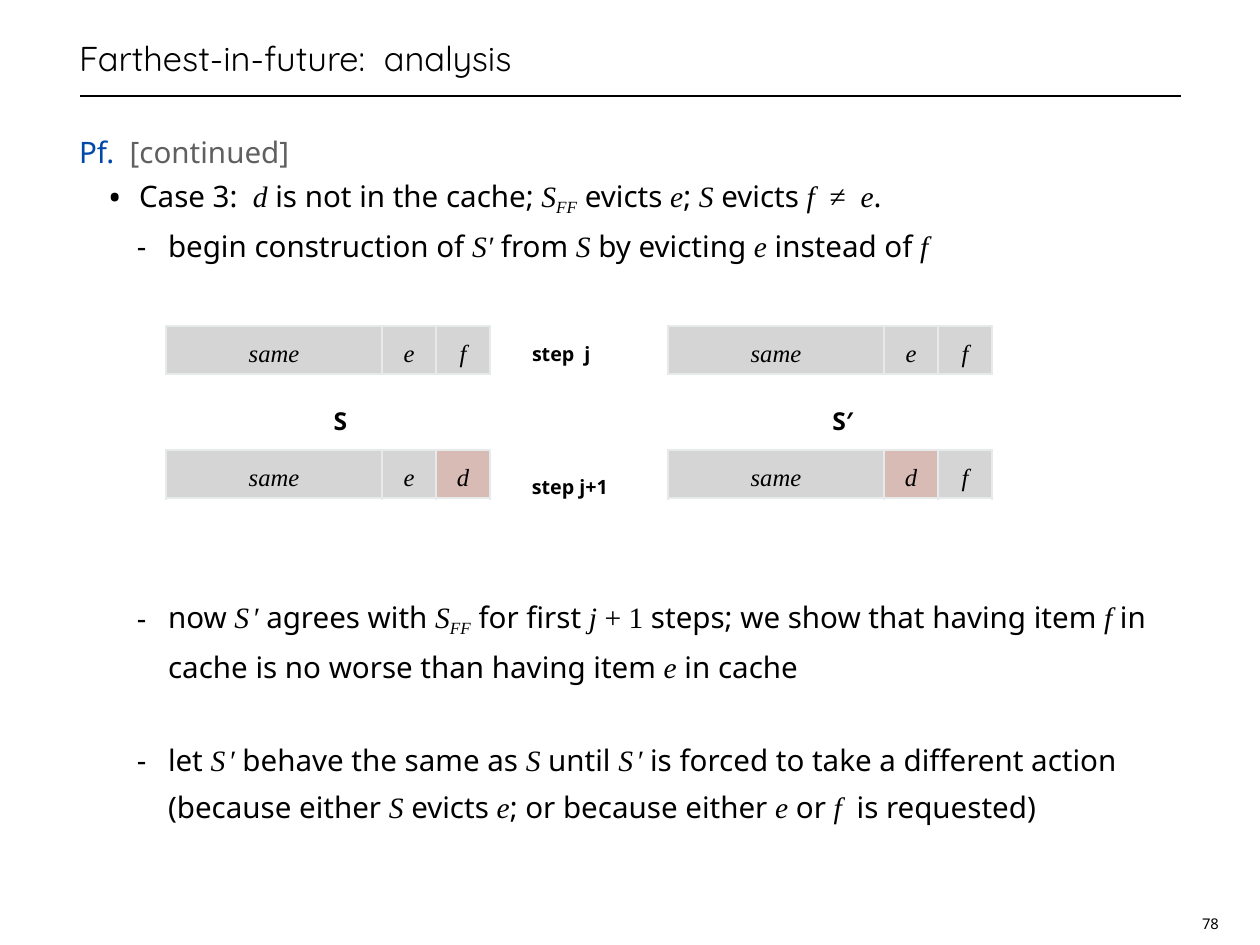
from lxml.etree import SubElement
from pptx import Presentation
from pptx.dml.color import RGBColor
from pptx.enum.shapes import MSO_CONNECTOR
from pptx.enum.text import MSO_ANCHOR, PP_ALIGN
from pptx.oxml.ns import qn
from pptx.util import Pt

PX = 10320  # EMU per px
BLACK = RGBColor(0x00, 0x00, 0x00)
BLUE = RGBColor(0x00, 0x48, 0xAA)
GRAY = RGBColor(0x60, 0x60, 0x60)
CELL = RGBColor(0xD5, 0xD5, 0xD5)
CHANGED = RGBColor(0x8D, 0x31, 0x24)
BORDER = RGBColor(0xE7, 0xEA, 0xEB)
SANS, SERIF, TITLE_FONT = "Noto Sans", "Times New Roman", "Quicksand"

# Run styles
STYLES = {
    "text": {"font": SANS},
    "math": {"font": SERIF, "italic": True},
    "roman": {"font": SERIF},
    "sub": {"font": SERIF, "italic": True, "baseline": -19000},
    "wide": {"font": SERIF, "italic": True, "spc": 240},
    "proof": {"font": SANS, "color": BLUE},
    "note": {"font": SANS, "color": GRAY},
    "title": {"font": TITLE_FONT},
    "bold": {"font": SANS, "bold": True},
}

# Content
TITLE = [("Farthest-in-future:  analysis", "title")]
S_PRIME = [("S", "wide"), ("′", "math")]
S_FF = [("S", "math"), ("FF", "sub")]

# Each paragraph: level, lines left free above, runs
BODY = [
    (0, 0, [("Pf.  ", "proof"), ("[continued]", "note")]),
    (1, 0, [("Case 3:  ", "text"), ("d", "math"),
            (" is not in the cache; ", "text"), *S_FF, (" evicts ", "text"),
            ("e", "math"), ("; ", "text"), ("S", "math"), (" evicts ", "text"),
            ("f", "math"), ("  ≠  ", "roman"), ("e", "math"), (".", "text")]),
    (2, 0, [("begin construction of ", "text"), ("S′", "math"),
            (" from ", "text"), ("S", "math"), (" by evicting ", "text"),
            ("e", "math"), (" instead of ", "text"), ("f", "math")]),
    (2, 7, [("now ", "text"), *S_PRIME, (" agrees with ", "text"), *S_FF,
            (" for first ", "text"), ("j ", "math"), ("+ 1", "roman"),
            (" steps; we show that having item ", "text"), ("f", "math"),
            (" in cache is no worse than having item ", "text"),
            ("e", "math"), (" in cache", "text")]),
    (2, 1, [("let ", "text"), *S_PRIME, (" behave the same as ", "text"),
            ("S", "math"), (" until ", "text"), *S_PRIME,
            (" is forced to take a different action", "text"), None,
            ("(because either ", "text"), ("S", "math"), (" evicts ", "text"),
            ("e", "math"), ("; or because either ", "text"), ("e", "math"),
            (" or ", "text"), ("f  ", "math"), ("is requested)", "text")]),
]
# Level: left margin px, hanging indent px, bullet, bullet size
LEVELS = {1: (60, -31, "•", 120000), 2: (89, -31, "-", 100000)}

# Cache states by schedule: left edge, then one row per step
CACHES = [(166, [["same", "e", "f"], ["same", "e", "d"]]),
          (668, [["same", "e", "f"], ["same", "d", "f"]])]
STEP_TOPS = (326, 450)
COLUMNS = (216, 54, 54)
ROW_HEIGHT = 48

# Labels: text, box in px, size, alignment
LABELS = [
    ("step  j", (532, 335, 71, 22), 16, PP_ALIGN.LEFT),
    ("step j+1", (532, 468, 87, 22), 16, PP_ALIGN.LEFT),
    ("S", (333, 397, 15, 28), 20, PP_ALIGN.CENTER),
    ("S′", (831, 397, 24, 28), 20, PP_ALIGN.CENTER),
]


def px(*values):
    return [v * PX for v in values]


def add_runs(p, runs, size):
    for item in runs:
        if item is None:
            p.add_line_break()
            continue
        text, name = item
        style = STYLES[name]
        r = p.add_run()
        r.text = text
        r.font.size = Pt(size)
        r.font.name = style["font"]
        r.font.italic = style.get("italic", False)
        r.font.bold = style.get("bold", False)
        r.font.color.rgb = style.get("color", BLACK)
        for key in ("baseline", "spc"):
            if key in style:
                r.font._element.set(key, str(style[key]))


def add_box(s, box, wrap=True, anchor=MSO_ANCHOR.TOP):
    tf = s.shapes.add_textbox(*px(*box)).text_frame
    tf.margin_left = tf.margin_top = tf.margin_right = tf.margin_bottom = 0
    tf.word_wrap = wrap
    tf.vertical_anchor = anchor
    return tf


def add_line_of_text(s, box, runs, size, spacing, align=PP_ALIGN.LEFT, **frame):
    p = add_box(s, box, **frame).paragraphs[0]
    p.alignment = align
    p.line_spacing = spacing
    add_runs(p, runs, size)


def set_bullet(p, level):
    left, indent, char, size = LEVELS[level]
    pPr = p._p.get_or_add_pPr()
    pPr.set("marL", str(left * PX))
    pPr.set("indent", str(indent * PX))
    SubElement(pPr, qn("a:buSzPct")).set("val", str(size))
    SubElement(pPr, qn("a:buFont")).set("typeface", SANS)
    SubElement(pPr, qn("a:buChar")).set("char", char)


def add_border(tcPr, side, width):
    ln = SubElement(tcPr, qn("a:" + side), w=str(Pt(width)))
    fill = SubElement(ln, qn("a:solidFill"))
    SubElement(fill, qn("a:srgbClr")).set("val", str(BORDER))


def add_cache(s, left, top, items, changed):
    frame = s.shapes.add_table(1, len(items),
                               *px(left, top, sum(COLUMNS), ROW_HEIGHT))
    table = frame.table
    table.first_row = table.horz_banding = False
    table.rows[0].height = ROW_HEIGHT * PX
    last = len(items) - 1
    for i, item in enumerate(items):
        table.columns[i].width = COLUMNS[i] * PX
        cell = table.cell(0, i)
        cell.margin_left = cell.margin_right = 5 * PX
        cell.margin_top = cell.margin_bottom = 5 * PX
        cell.vertical_anchor = MSO_ANCHOR.MIDDLE
        tcPr = cell._tc.get_or_add_tcPr()
        for side, outer in (("lnL", i == 0), ("lnR", i == last),
                            ("lnT", True), ("lnB", True)):
            add_border(tcPr, side, 2 if outer else 1)
        cell.fill.solid()
        cell.fill.fore_color.rgb = CHANGED if item == changed else CELL
        if item == changed:
            color = tcPr.find(qn("a:solidFill")).find(qn("a:srgbClr"))
            SubElement(color, qn("a:alpha")).set("val", "33000")
        p = cell.text_frame.paragraphs[0]
        p.alignment = PP_ALIGN.CENTER
        p.line_spacing = 1.3
        add_runs(p, [(item, "math")], 20)


def main():
    prs = Presentation()
    prs.slide_width, prs.slide_height = px(1260, 945)
    s = prs.slides.add_slide(prs.slide_layouts[6])

    # Title and rule
    add_line_of_text(s, (79, 0, 1102, 78), TITLE, 28, Pt(38),
                     anchor=MSO_ANCHOR.BOTTOM)
    rule = s.shapes.add_connector(MSO_CONNECTOR.STRAIGHT, *px(80, 96, 1181, 96))
    rule.line.color.rgb = BLACK
    rule.line.width = Pt(1)
    SubElement(rule._element.spPr, qn("a:effectLst"))

    # Proof text
    tf = add_box(s, (79, 123, 1102, 792))
    for i, (level, free_lines, runs) in enumerate(BODY):
        p = tf.add_paragraph() if i else tf.paragraphs[0]
        p.level = level
        p.line_spacing = Pt(38)
        p.space_before = Pt(38 * free_lines)
        if level:
            set_bullet(p, level)
        add_runs(p, runs, 24)

    # Cache states and their labels
    for left, rows in CACHES:
        for top, items in zip(STEP_TOPS, rows):
            add_cache(s, left, top, items, changed="d")
    for text, box, size, align in LABELS:
        add_line_of_text(s, box, [(text, "bold")], size, 1.3, align, wrap=False)

    # Page number
    add_line_of_text(s, (1197, 915, 27, 17), [("78", "text")], 12, Pt(14),
                     PP_ALIGN.CENTER, wrap=False)
    prs.save("out.pptx")


if __name__ == "__main__":
    main()
